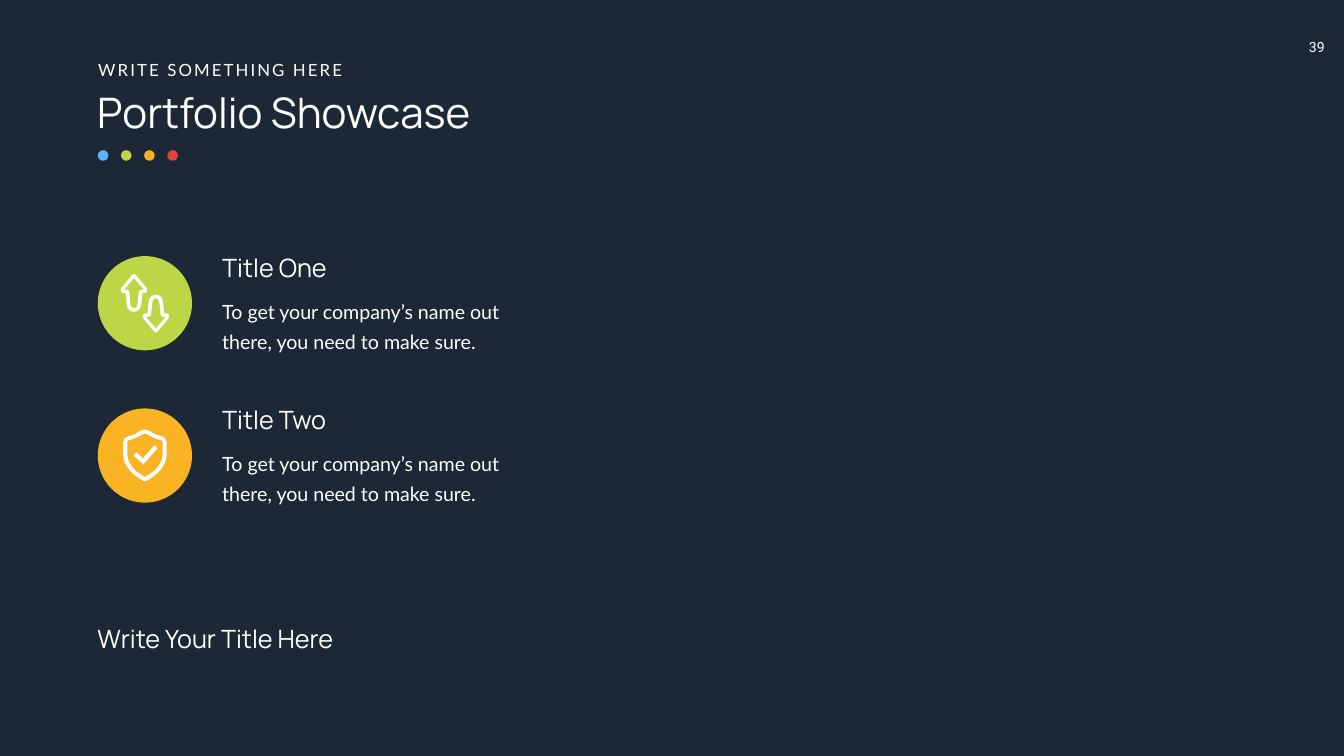
from dataclasses import dataclass

from pptx import Presentation
from pptx import util as u
from pptx.dml.color import RGBColor
from pptx.enum import shapes, text
from pptx.oxml import ns, xmlchemy


@dataclass(frozen=True)
class Theme:
    background: str = "1C2835"
    white: str = "FFFFFF"
    blue: str = "5AB4FA"
    green: str = "BDD645"
    yellow: str = "FAB323"
    red: str = "E5423B"
    heading_font: str = "Manrope"
    body_font: str = "Lato"
    number_font: str = "Roboto"
    title_size: int = 60
    heading_size: int = 36
    body_size: int = 28
    label_size: int = 24
    number_size: int = 20


# A step holds one point for a line or three for a Bezier curve.
# Icons are right halves, in points from the icon centre.
ARROW_OUTER = [
    [(0, -27)], [(0.7, -27), (1.4, -27), (2, -26.3)], [(18.2, -6.8)],
    [(19.3, -5.6), (19.5, -4), (18.9, -2.5)], [(18.2, -0.8), (17, 0.4), (15, 0.4)],
    [(12, 0.4)], [(10, 18.4)], [(9.3, 23.4), (5, 27), (0, 27)],
]
ARROW_INNER = [
    [(0, -21.2)], [(14.2, -4.7)], [(9.9, -4.7)], [(8.5, -4.7), (7.2, -4), (7, -2.5)],
    [(4.8, 17.6)], [(4.5, 20), (2.5, 21.9), (0, 21.9)],
]
SHIELD_OUTER = [
    [(0, -37)], [(2.5, -37), (4.9, -36.3), (7, -34.9)],
    [(10, -32.7), (16.5, -29), (23.7, -27.7)], [(28, -27), (31, -23.4), (31, -19)],
    [(31, -1.8)], [(31, 4), (29.5, 9.7), (26, 14.8)],
    [(23.8, 19), (20, 23.4), (15.8, 27)], [(8.6, 32.8), (1.4, 36.5), (1.4, 36.5)],
    [(0, 37)],
]
SHIELD_INNER = [
    [(0, -31.3)], [(1.5, -31.3), (3, -30.9), (4.3, -29.9)],
    [(8, -27.7), (15, -23.4), (23, -22)], [(24.3, -22), (25.2, -20.5), (25.2, -19)],
    [(25.2, -1.8)], [(25.2, 6.8), (20.9, 14.8), (12.2, 22.7)],
    [(7.2, 26.3), (2.2, 29.2), (0, 30.6)],
]
CHECK = [[(-2.9, 4)], [(-12.2, -4.7)], [(-16.6, -0.4)], [(-2.2, 12.6)],
         [(18, -10.4)], [(13.7, -14.8)]]
FOOTER_BAND = [
    [(0.7, 830.2)], [(575.3, 830.2)], [(622.1, 830.2), (659.5, 867.6), (659.5, 914.4)],
    [(659.5, 961.2), (622.1, 998.6), (575.3, 998.6)], [(0, 998.6)],
    [(0, 944.6), (0, 884.2), (0.7, 830.2)],
]


def symmetric(steps):
    """Close a right half with its mirror image."""
    left = []
    for previous, step in reversed(list(zip(steps, steps[1:]))):
        points = step[-2::-1] if len(step) == 3 else []
        left.append([(-x, y) for x, y in [*points, previous[-1]]])
    return steps + left


def bend(shape, contours):
    """Turn each run of three segments that stands for a curve into a Bezier."""
    path = next(shape._element.iter(ns.qn("a:path")))
    segments = iter(path.findall(ns.qn("a:lnTo")))
    for contour in contours:
        for step in contour[1:]:
            group = [next(segments) for _ in step]
            if len(group) == 3:
                curve = xmlchemy.OxmlElement("a:cubicBezTo")
                group[0].addprevious(curve)
                for segment in group:
                    curve.append(segment[0])
                    path.remove(segment)


class SlideBuilder:
    def __init__(self, slide, theme):
        self.slide = slide
        self.theme = theme
        fill = slide.background.fill
        fill.solid()
        fill.fore_color.rgb = RGBColor.from_string(theme.background)

    def text(self, content, left, top, width, height, *, font, size, line_spacing=None,
             letter_spacing=None, align=text.PP_ALIGN.LEFT, wrap=True,
             insets=(7.2, 3.6, 7.2, 3.6)):
        box = self.slide.shapes.add_textbox(*map(u.Pt, (left, top, width, height)))
        frame = box.text_frame
        frame.word_wrap = wrap
        frame.auto_size = text.MSO_AUTO_SIZE.SHAPE_TO_FIT_TEXT
        (frame.margin_left, frame.margin_top,
         frame.margin_right, frame.margin_bottom) = map(u.Pt, insets)
        paragraph = frame.paragraphs[0]
        paragraph.alignment = align
        if line_spacing:
            paragraph.line_spacing = u.Pt(line_spacing)
        run = paragraph.add_run()
        run.text = content
        run.font.name = font
        run.font.size = u.Pt(size)
        run.font.color.rgb = RGBColor.from_string(self.theme.white)
        if letter_spacing:
            run.font._element.set("spc", str(letter_spacing * 100))

    def paint(self, shape, color):
        shape.shadow.inherit = False
        shape.fill.solid()
        shape.fill.fore_color.rgb = RGBColor.from_string(color)
        shape.line.fill.background()

    def circle(self, center_x, center_y, diameter, color):
        corner = (center_x - diameter / 2, center_y - diameter / 2)
        shape = self.slide.shapes.add_shape(
            shapes.MSO_SHAPE.OVAL, *map(u.Pt, (*corner, diameter, diameter)))
        self.paint(shape, color)

    def outline(self, origin_x, origin_y, *contours, color, flip=1):
        """Draw a filled shape; a second contour cuts a hole, flip=-1 inverts it."""
        placed = [[(u.Pt(origin_x + x), u.Pt(origin_y + flip * y))
                   for step in contour for x, y in step] for contour in contours]
        builder = self.slide.shapes.build_freeform(*placed[0][0])
        for index, points in enumerate(placed):
            if index:
                builder.move_to(*points[0])
            builder.add_line_segments(points[1:], close=True)
        shape = builder.convert_to_shape()
        bend(shape, contours)
        self.paint(shape, color)

    def arrows_icon(self, center_x, center_y):
        for side in (-1, 1):
            self.outline(center_x + side * 15.6, center_y + side * 14.8,
                         symmetric(ARROW_OUTER), symmetric(ARROW_INNER),
                         color=self.theme.white, flip=-side)

    def shield_icon(self, center_x, center_y):
        for contours in ([CHECK], [symmetric(SHIELD_OUTER), symmetric(SHIELD_INNER)]):
            self.outline(center_x, center_y, *contours, color=self.theme.white)

    def feature(self, top, title, body, color, draw_icon):
        theme = self.theme
        self.text(body, 310.3, top + 58.3, 425.5, 90, font=theme.body_font,
                  size=theme.body_size, line_spacing=43)
        self.text(title, 310.3, top, 374.4, 51, font=theme.heading_font,
                  size=theme.heading_size)
        center = (207, top + 76.2)
        self.circle(*center, 134.6, color)
        draw_icon(*center)


def main():
    theme = Theme()
    presentation = Presentation()
    presentation.slide_width = u.Pt(1919.52)
    presentation.slide_height = u.Pt(1080)
    slide = presentation.slides.add_slide(presentation.slide_layouts[6])
    builder = SlideBuilder(slide, theme)

    builder.text("39", 1849.7, 48.2, 72.7, 38.9, font=theme.number_font,
                 size=theme.number_size, align=text.PP_ALIGN.CENTER,
                 insets=(14.4, 7.2, 25, 7.2))
    builder.text("Portfolio Showcase", 131.8, 120.4, 635.8, 80,
                 font=theme.heading_font, size=theme.title_size)
    builder.text("WRITE SOMETHING HERE", 133.2, 81.4, 370, 36, font=theme.body_font,
                 size=theme.label_size, letter_spacing=3, wrap=False)
    for index, color in enumerate((theme.blue, theme.green, theme.yellow, theme.red)):
        builder.circle(147.2 + index * 33.1, 222.1, 15.1, color)

    builder.outline(0, 0, FOOTER_BAND, color=theme.background)
    builder.text("Write Your Title Here", 131.8, 889.9, 426.2, 49, font=theme.heading_font,
                 size=theme.heading_size, line_spacing=40.8)

    body = "To get your company’s name out there, you need to make sure."
    features = (("Title One", theme.green, builder.arrows_icon),
                ("Title Two", theme.yellow, builder.shield_icon))
    for index, (title, color, draw_icon) in enumerate(features):
        builder.feature(357 + index * 217.6, title, body, color, draw_icon)

    presentation.save("out.pptx")


if __name__ == "__main__":
    main()
